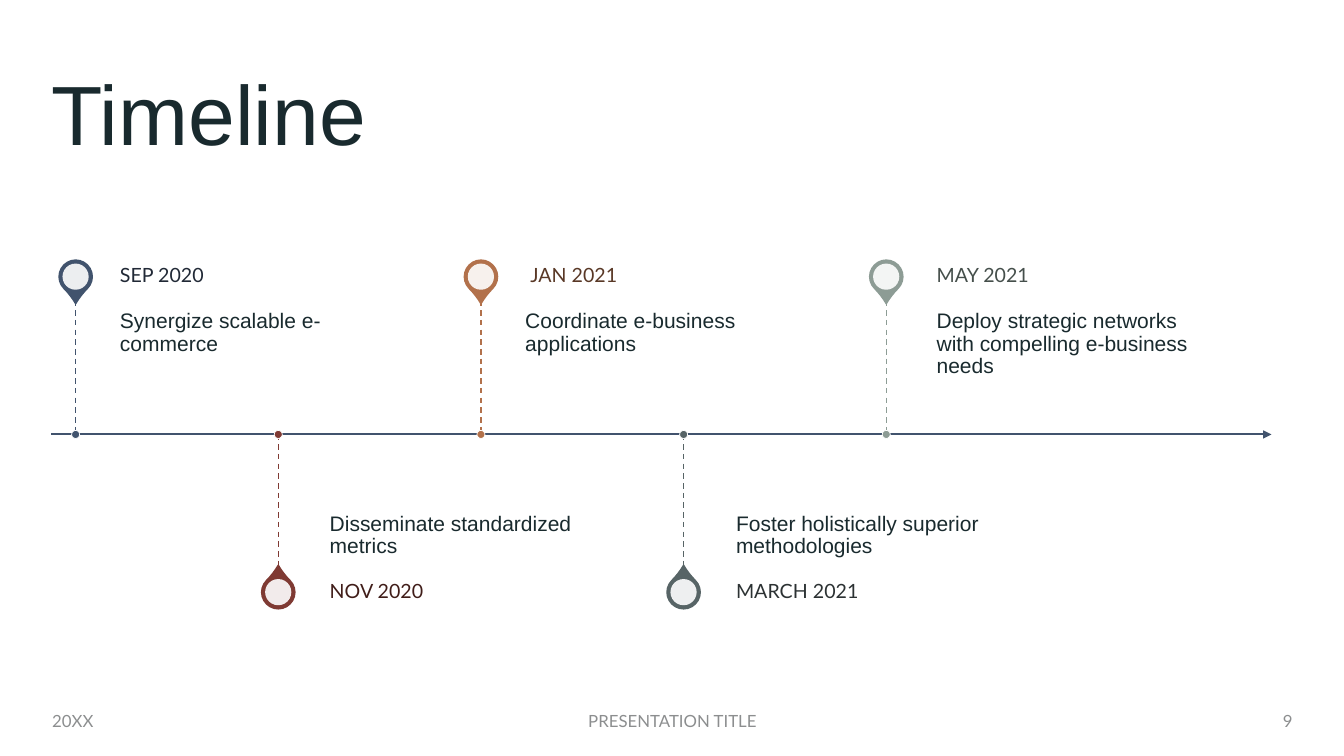
from lxml.etree import SubElement
from pptx import Presentation
from pptx.dml.color import RGBColor
from pptx.enum.dml import MSO_LINE_DASH_STYLE as Dash
from pptx.enum.shapes import MSO_CONNECTOR, MSO_SHAPE
from pptx.enum.text import MSO_ANCHOR as Anchor, MSO_AUTO_SIZE, PP_ALIGN as Align
from pptx.oxml.ns import qn
from pptx.util import Inches, Pt

WHITE = RGBColor(0xFF, 0xFF, 0xFF)
INK = RGBColor(0x19, 0x2A, 0x2E)
GRAY = RGBColor(0x8C, 0x8E, 0x8F)
NAVY = RGBColor(0x41, 0x53, 0x6D)
NAVY_DARK = RGBColor(0x21, 0x29, 0x36)
RED = RGBColor(0x7F, 0x3A, 0x33)
RED_DARK = RGBColor(0x40, 0x1D, 0x19)
COPPER = RGBColor(0xB2, 0x71, 0x4B)
COPPER_DARK = RGBColor(0x59, 0x38, 0x26)
SLATE = RGBColor(0x57, 0x64, 0x66)
SLATE_DARK = RGBColor(0x2C, 0x32, 0x33)
SAGE = RGBColor(0x8D, 0x9C, 0x95)
SAGE_DARK = RGBColor(0x45, 0x4F, 0x4B)

AXIS_Y = 4.31
FIRST_X, STEP_X = 0.75, 2.01
STEM, DATE_HEIGHT = 1.33, 0.47

# date, description, colour, date colour, text left, text width, date indent
MILESTONES = [
    ("SEP 2020", "Synergize scalable e-commerce", NAVY, NAVY_DARK, 1.19, 2.34, 0),
    ("NOV 2020", "Disseminate standardized metrics", RED, RED_DARK, 3.27, 2.52, 0),
    ("JAN 2021", "Coordinate e-business applications", COPPER, COPPER_DARK, 5.21, 2.73, 0.05),
    ("MARCH 2021", "Foster holistically superior methodologies", SLATE, SLATE_DARK, 7.3, 2.61, 0),
    ("MAY 2021", "Deploy strategic networks with compelling e-business needs",
     SAGE, SAGE_DARK, 9.29, 2.87, 0),
]

FOOTERS = [
    ("20XX", 0.42, 3, Align.LEFT),
    ("PRESENTATION TITLE", 4.42, 4.5, Align.CENTER),
    ("9", 11.72, 1.2, Align.RIGHT),
]


def write_text(frame, text, *, size, color, font="Arial", align=Align.LEFT,
               anchor=Anchor.TOP, insets=(0.1, 0.05, 0.1, 0.05), spacing=0.9):
    frame.word_wrap = True
    frame.auto_size = MSO_AUTO_SIZE.NONE
    frame.vertical_anchor = anchor
    (frame.margin_left, frame.margin_top,
     frame.margin_right, frame.margin_bottom) = map(Inches, insets)
    frame.text = text
    paragraph = frame.paragraphs[0]
    paragraph.alignment = align
    paragraph.line_spacing = spacing
    paragraph.font.name = font
    paragraph.font.size = Pt(size)
    paragraph.font.color.rgb = color


class TimelineSlide:
    def __init__(self, slide):
        self.slide = slide
        self.shapes = slide.shapes

    def title(self, text):
        title = self.shapes.title
        title.left, title.top = Inches(0.41), Inches(0.67)
        title.width, title.height = Inches(11.64), Inches(1.48)
        write_text(title.text_frame, text, size=60, color=INK)

    def label(self, text, left, top, width, height, **style):
        box = self.shapes.add_textbox(*map(Inches, (left, top, width, height)))
        write_text(box.text_frame, text, **style)

    def line(self, start, end, color, width, dash=None, arrow=False):
        line = self.shapes.add_connector(
            MSO_CONNECTOR.STRAIGHT, *map(Inches, (*start, *end)))
        line.line.color.rgb = color
        line.line.width = Pt(width)
        if dash:
            line.line.dash_style = dash
        if arrow:
            SubElement(line.line._get_or_add_ln(), qn("a:tailEnd"), type="triangle")
        SubElement(line._element.spPr, qn("a:effectLst"))

    def centered(self, kind, x, y, size, fill, outline=None, width=1, alpha=None):
        """Add a square-framed shape around the point x, y."""
        shape = self.shapes.add_shape(
            kind, *map(Inches, (x - size / 2, y - size / 2, size, size)))
        shape.shadow.inherit = False
        shape.fill.solid()
        shape.fill.fore_color.rgb = fill
        if alpha:
            color = shape._element.spPr.find(qn("a:solidFill"))[0]
            SubElement(color, qn("a:alpha"), val=str(alpha * 1000))
        if outline is None:
            shape.line.fill.background()
        else:
            shape.line.color.rgb = outline
            shape.line.width = Pt(width)
        return shape

    def milestone(self, index, date, description, color, date_color, left, width, indent):
        above = index % 2 == 0
        side = -1 if above else 1
        x = FIRST_X + index * STEP_X
        tip_y = AXIS_Y + side * STEM
        pin_y = tip_y + side * DATE_HEIGHT / 2

        pin = self.centered(MSO_SHAPE.TEAR, x, pin_y, 0.33, color, color)
        pin.adjustments[0] = 1.15
        pin.rotation = 135 if above else 315
        self.centered(MSO_SHAPE.OVAL, x, pin_y, 0.26, WHITE, alpha=90)
        self.label(description, left, min(tip_y, AXIS_Y), width, STEM, size=15, color=INK,
                   anchor=Anchor.TOP if above else Anchor.BOTTOM,
                   insets=(0, 0.1, 0.1, 0.16) if above else (0, 0.16, 0, 0.1))
        self.label(date, left, pin_y - DATE_HEIGHT / 2, width, DATE_HEIGHT, size=14,
                   color=date_color, font="Lato", anchor=Anchor.MIDDLE,
                   insets=(indent, 0, 0.1, 0))
        self.line((x, min(tip_y, AXIS_Y)), (x, max(tip_y, AXIS_Y)), color, 1, Dash.DASH)
        self.centered(MSO_SHAPE.OVAL, x, AXIS_Y, 0.08, color, WHITE, 0.5)


def main():
    deck = Presentation()
    deck.slide_width, deck.slide_height = Inches(13.33), Inches(7.5)
    timeline = TimelineSlide(deck.slides.add_slide(deck.slide_layouts[5]))

    timeline.title("Timeline")
    timeline.line((0.51, AXIS_Y), (12.61, AXIS_Y), NAVY, 1.5, arrow=True)
    for index, milestone in enumerate(MILESTONES):
        timeline.milestone(index, *milestone)
    for text, left, width, align in FOOTERS:
        timeline.label(text, left, 6.95, width, 0.4, size=12, color=GRAY, font="Lato",
                       align=align, anchor=Anchor.MIDDLE, spacing=1)
    deck.save("out.pptx")


if __name__ == "__main__":
    main()
